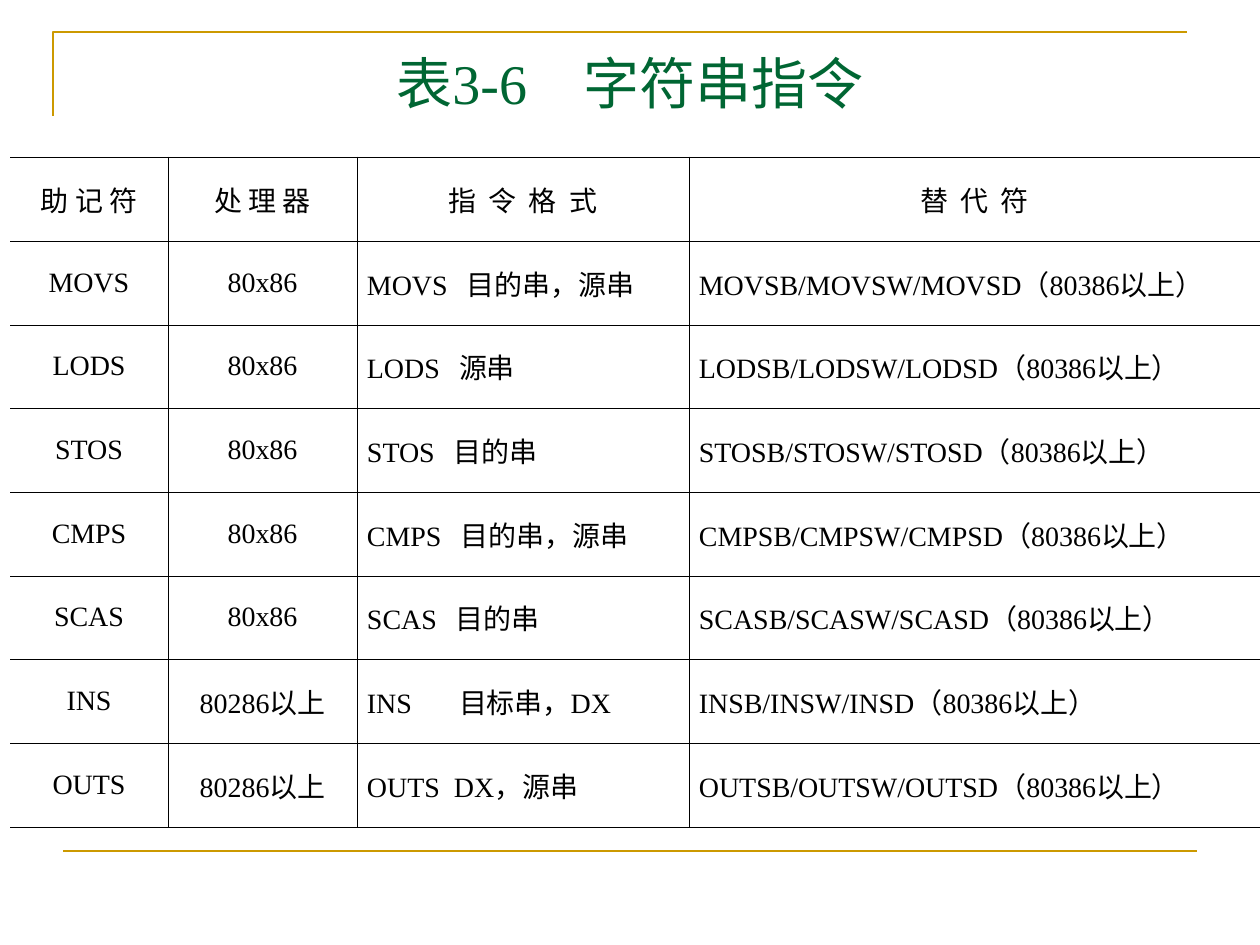
from dataclasses import dataclass
from itertools import pairwise
from typing import Optional

from lxml.etree import SubElement
from pptx import Presentation
from pptx.dml.color import RGBColor
from pptx.enum.shapes import MSO_CONNECTOR
from pptx.enum.text import MSO_ANCHOR, PP_ALIGN
from pptx.oxml.ns import qn
from pptx.util import Pt

EMU_PER_PX = 914400 / 126
FONT = "Times New Roman"
COLORS = {"gold": "CC9900", "title": "006633", "text": "000000", "border": "000000"}
BORDER_WIDTH = Pt(0.45)

TABLE_LEFT, TABLE_TOP, TABLE_HEIGHT = 10, 157, 670
COLUMN_WIDTHS = (158, 189, 332, 571)
COLUMN_ALIGNMENTS = (PP_ALIGN.CENTER, PP_ALIGN.CENTER, PP_ALIGN.LEFT, PP_ALIGN.JUSTIFY)


@dataclass(frozen=True)
class Instruction:
    mnemonic: str
    processor: str
    operands: str
    operand_offset: int

    def texts(self) -> tuple[str, ...]:
        variants = "/".join(self.mnemonic + size for size in "BWD")
        return (self.mnemonic, self.processor,
                f"{self.mnemonic}\t{self.operands}", f"{variants}（80386以上）")


@dataclass(frozen=True)
class Header:
    text: str
    spacing: int = 0


HEADERS = (
    Header("助 记 符"),
    Header("处 理 器"),
    Header("指 令 格 式", 170),
    Header("替 代 符", 170),
)

INSTRUCTIONS = (
    Instruction("MOVS", "80x86", "目的串，源串", 100),
    Instruction("LODS", "80x86", "源串", 92),
    Instruction("STOS", "80x86", "目的串", 87),
    Instruction("CMPS", "80x86", "目的串，源串", 94),
    Instruction("SCAS", "80x86", "目的串", 89),
    Instruction("INS", "80286以上", "目标串，DX", 92),
    Instruction("OUTS", "80286以上", "DX，源串", 87),
)


def px(value: int) -> int:
    return round(value * EMU_PER_PX)


def color(name: str) -> RGBColor:
    return RGBColor.from_string(COLORS[name])


def write(text_frame, text: str, size: int, color_name: str, alignment: PP_ALIGN,
          tab_stop: Optional[int] = None, spacing: int = 0) -> None:
    text_frame.text = text
    paragraph = text_frame.paragraphs[0]
    paragraph.alignment = alignment
    if tab_stop is not None:
        tabs = SubElement(paragraph._p.get_or_add_pPr(), qn("a:tabLst"))
        SubElement(tabs, qn("a:tab"), pos=str(px(tab_stop)), algn="l")
    for run in paragraph.runs:
        run.font.name = FONT
        run.font.size = Pt(size)
        run.font.color.rgb = color(color_name)
        if spacing:
            run._r.get_or_add_rPr().set("spc", str(spacing))


def style_gold_line(shape) -> None:
    shape.line.color.rgb = color("gold")
    shape.line.width = Pt(1.5)


def draw_frame(slide) -> None:
    builder = slide.shapes.build_freeform(53, 116, scale=EMU_PER_PX)
    builder.add_line_segments([(53, 32), (1187, 32)], close=False)
    corner = builder.convert_to_shape()
    corner.fill.background()
    corner.shadow.inherit = False
    style_gold_line(corner)

    rule = slide.shapes.add_connector(
        MSO_CONNECTOR.STRAIGHT, px(63), px(851), px(1197), px(851))
    style_gold_line(rule)
    SubElement(rule._element.spPr, qn("a:effectLst"))


def draw_title(slide) -> None:
    text_frame = slide.shapes.add_textbox(px(63), px(38), px(1134), px(89)).text_frame
    text_frame.word_wrap = True
    text_frame.vertical_anchor = MSO_ANCHOR.MIDDLE
    write(text_frame, "表3-6　字符串指令", 32, "title", PP_ALIGN.CENTER)


def style_cell(cell, column: int) -> None:
    visible = {"lnL": column > 0, "lnR": column < len(COLUMN_WIDTHS) - 1,
               "lnT": True, "lnB": True}
    properties = cell._tc.get_or_add_tcPr()
    for side, is_visible in visible.items():
        line = SubElement(properties, qn(f"a:{side}"), w=str(BORDER_WIDTH))
        if is_visible:
            fill = SubElement(line, qn("a:solidFill"))
            SubElement(fill, qn("a:srgbClr"), val=COLORS["border"])
        else:
            SubElement(line, qn("a:noFill"))
    cell.fill.background()
    cell.vertical_anchor = MSO_ANCHOR.MIDDLE
    cell.margin_left = cell.margin_right = px(10)
    cell.margin_top = cell.margin_bottom = px(6)


def draw_table(slide) -> None:
    row_count = len(INSTRUCTIONS) + 1
    table = slide.shapes.add_table(
        row_count, len(COLUMN_WIDTHS), px(TABLE_LEFT), px(TABLE_TOP),
        px(sum(COLUMN_WIDTHS)), px(TABLE_HEIGHT)).table
    table.first_row = False
    table.horz_banding = False
    for column, width in zip(table.columns, COLUMN_WIDTHS):
        column.width = px(width)
    edges = [round(TABLE_HEIGHT * index / row_count) for index in range(row_count + 1)]
    for row, (top, bottom) in zip(table.rows, pairwise(edges)):
        row.height = px(bottom - top)

    for column, header in enumerate(HEADERS):
        cell = table.cell(0, column)
        style_cell(cell, column)
        write(cell.text_frame, header.text, 16, "text", PP_ALIGN.CENTER,
              spacing=header.spacing)
    for row_index, instruction in enumerate(INSTRUCTIONS, start=1):
        for column, text in enumerate(instruction.texts()):
            cell = table.cell(row_index, column)
            style_cell(cell, column)
            tab_stop = instruction.operand_offset if "\t" in text else None
            write(cell.text_frame, text, 16, "text", COLUMN_ALIGNMENTS[column], tab_stop)


def main() -> None:
    presentation = Presentation()
    presentation.slide_width = px(1260)
    presentation.slide_height = px(945)
    slide = presentation.slides.add_slide(presentation.slide_layouts[6])
    draw_frame(slide)
    draw_title(slide)
    draw_table(slide)
    presentation.save("out.pptx")


if __name__ == "__main__":
    main()
